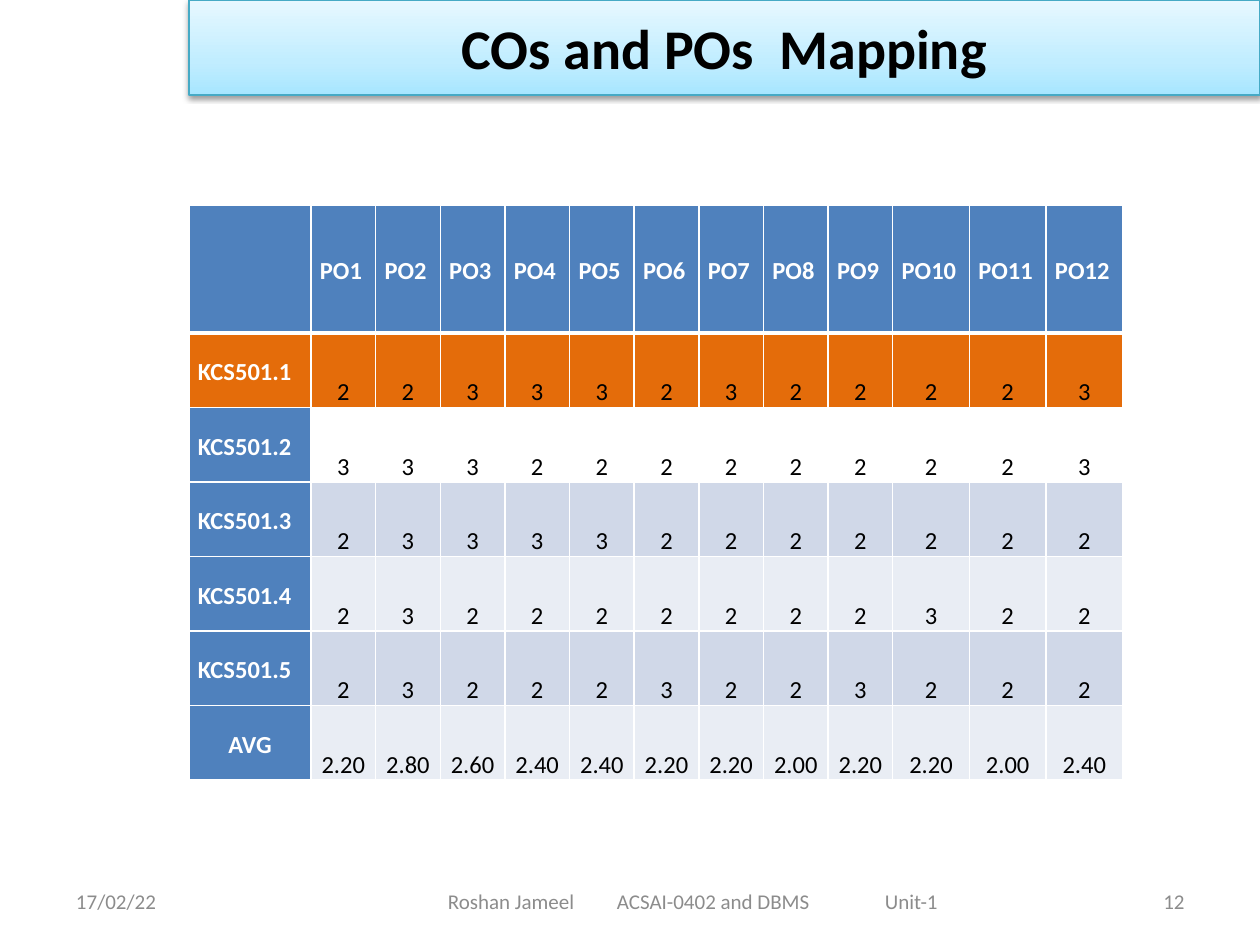
from dataclasses import dataclass

from lxml import etree
from pptx import Presentation
from pptx.dml.color import RGBColor
from pptx.enum.shapes import MSO_SHAPE
from pptx.enum.text import MSO_ANCHOR, PP_ALIGN
from pptx.oxml.ns import qn
from pptx.slide import Slide
from pptx.table import _Cell
from pptx.text.text import _Paragraph
from pptx.util import Pt

LEFT, CENTER, RIGHT, JUSTIFY = PP_ALIGN.LEFT, PP_ALIGN.CENTER, PP_ALIGN.RIGHT, PP_ALIGN.JUSTIFY
MIDDLE, BOTTOM = MSO_ANCHOR.MIDDLE, MSO_ANCHOR.BOTTOM
RECTANGLE = MSO_SHAPE.RECTANGLE

EMU_PER_PX = 914400 / 126
FONT = "Calibri"
WHITE, BLACK, GREY = "FFFFFF", "000000", "8C8C8C"
BLUE, ORANGE, DARK_BAND, LIGHT_BAND = "4F81BD", "E46C0A", "D0D8E8", "E9EDF4"
BANNER_LINE = "46AAC5"
BANNER_STOPS = [(0, "A7E6FF"), (35, "C1EDFF"), (100, "E7F8FF")]


@dataclass
class Outcome:
    label: str
    scores: list[int]
    label_fill: str = BLUE
    fill: str | None = None
    align: PP_ALIGN = LEFT


@dataclass
class FooterItem:
    phrases: list[str]
    left: int
    width: int
    align: PP_ALIGN
    inset: int = 13
    tabs: tuple[int, ...] = ()


OUTCOMES = [
    Outcome("KCS501.1", [2, 2, 3, 3, 3, 2, 3, 2, 2, 2, 2, 3], ORANGE, ORANGE, JUSTIFY),
    Outcome("KCS501.2", [3, 3, 3, 2, 2, 2, 2, 2, 2, 2, 2, 3]),
    Outcome("KCS501.3", [2, 3, 3, 3, 3, 2, 2, 2, 2, 2, 2, 2], fill=DARK_BAND),
    Outcome("KCS501.4", [2, 3, 2, 2, 2, 2, 2, 2, 2, 3, 2, 2], fill=LIGHT_BAND),
    Outcome("KCS501.5", [2, 3, 2, 2, 2, 3, 2, 2, 3, 2, 2, 2], fill=DARK_BAND),
]
FOOTER = [
    FooterItem(["17/02/22"], 63, 294, LEFT),
    FooterItem(["Roshan Jameel", "ACSAI-0402 and DBMS", "Unit-1"], 347, 693, LEFT, 101, (169, 437)),
    FooterItem(["12"], 903, 294, RIGHT),
]


def px(length: int) -> int:
    return round(length * EMU_PER_PX)


def rgb(color: str) -> RGBColor:
    return RGBColor.from_string(color)


def add_color(parent: etree._Element, color: str) -> etree._Element:
    return etree.SubElement(parent, qn("a:srgbClr"), val=color)


def write(paragraph: _Paragraph, text: str, size: int, color: str, align: PP_ALIGN,
          bold: bool = False) -> None:
    paragraph.text = text
    paragraph.alignment = align
    font = paragraph.font
    font.name, font.size, font.bold = FONT, Pt(size), bold
    font.color.rgb = rgb(color)


def set_borders(cell: _Cell, top: int, bottom: int) -> None:
    """Give the cell white borders; top and bottom widths are in points."""
    properties = cell._tc.get_or_add_tcPr()
    widths = {"a:lnL": 1, "a:lnR": 1, "a:lnT": top, "a:lnB": bottom}
    for index, (tag, width) in enumerate(widths.items()):
        line = etree.Element(qn(tag), w=str(Pt(width)))
        add_color(etree.SubElement(line, qn("a:solidFill")), WHITE)
        properties.insert(index, line)


def fill_cell(cell: _Cell, text: str, fill: str | None, align: PP_ALIGN,
              is_label: bool, top: int = 1, bottom: int = 1) -> None:
    if fill:
        cell.fill.solid()
        cell.fill.fore_color.rgb = rgb(fill)
    else:
        cell.fill.background()
    set_borders(cell, top, bottom)
    cell.margin_left = cell.margin_right = px(9)
    cell.margin_top = cell.margin_bottom = 0
    cell.vertical_anchor = MIDDLE if is_label else BOTTOM
    paragraph = cell.text_frame.paragraphs[0]
    write(paragraph, text, 14, WHITE if is_label else BLACK, align, is_label)
    paragraph.line_spacing = 1.15
    if not is_label:
        paragraph.space_after = Pt(10)


def add_mapping_table(slide: Slide, outcomes: list[Outcome]) -> None:
    column_widths = [px(122)] + [px(582) // 9] * 9 + [px(230) // 3] * 3
    row_heights = [px(128)] + [px(447) // 6] * 6
    table = slide.shapes.add_table(len(row_heights), len(column_widths), px(189), px(205),
                                   sum(column_widths), sum(row_heights)).table
    table.first_row = table.horz_banding = False
    for column, width in zip(table.columns, column_widths):
        column.width = width
    for row, height in zip(table.rows, row_heights):
        row.height = height

    headings = [""] + [f"PO{number}" for number in range(1, 13)]
    for column, heading in enumerate(headings):
        fill_cell(table.cell(0, column), heading, BLUE, JUSTIFY, True, bottom=3)

    for row, outcome in enumerate(outcomes, 1):
        top = 3 if row == 1 else 1
        fill_cell(table.cell(row, 0), outcome.label, outcome.label_fill, outcome.align, True, top)
        for column, score in enumerate(outcome.scores, 1):
            fill_cell(table.cell(row, column), str(score), outcome.fill, CENTER, False, top)

    average_row = len(outcomes) + 1
    fill_cell(table.cell(average_row, 0), "AVG", BLUE, CENTER, True)
    for column, scores in enumerate(zip(*(outcome.scores for outcome in outcomes)), 1):
        average = sum(scores) / len(scores)
        fill_cell(table.cell(average_row, column), f"{average:.2f}", LIGHT_BAND, CENTER, False)


def add_footer_item(slide: Slide, item: FooterItem) -> None:
    frame = slide.shapes.add_textbox(px(item.left), px(876), px(item.width), px(50)).text_frame
    frame.word_wrap = True
    frame.vertical_anchor = MIDDLE
    frame.margin_left = px(item.inset)
    paragraph = frame.paragraphs[0]
    write(paragraph, "\t".join(item.phrases), 12, GREY, item.align)
    if item.tabs:
        tab_list = etree.Element(qn("a:tabLst"))
        for position in item.tabs:
            etree.SubElement(tab_list, qn("a:tab"), pos=str(px(position)), algn="l")
        paragraph._p.get_or_add_pPr().insert(0, tab_list)


def add_banner(slide: Slide, title: str) -> None:
    banner = slide.shapes.add_shape(RECTANGLE, px(189), 0, px(1071), px(95))
    properties = banner._element.spPr
    gradient = etree.Element(qn("a:gradFill"), rotWithShape="1")
    stops = etree.SubElement(gradient, qn("a:gsLst"))
    for percent, color in BANNER_STOPS:
        add_color(etree.SubElement(stops, qn("a:gs"), pos=str(percent * 1000)), color)
    etree.SubElement(gradient, qn("a:lin"), ang=str(270 * 60000), scaled="0")
    properties.find(qn("a:prstGeom")).addnext(gradient)
    banner.line.color.rgb = rgb(BANNER_LINE)
    banner.line.width = Pt(0.75)

    banner.shadow.inherit = False
    shadow = etree.SubElement(properties.find(qn("a:effectLst")), qn("a:outerShdw"),
                              blurRad="40000", dist="20000", dir=str(90 * 60000), rotWithShape="0")
    etree.SubElement(add_color(shadow, BLACK), qn("a:alpha"), val="38000")

    banner.text_frame.word_wrap = True
    banner.text_frame.vertical_anchor = MIDDLE
    write(banner.text_frame.paragraphs[0], title, 32, BLACK, CENTER, True)


def main() -> None:
    presentation = Presentation()
    presentation.slide_width, presentation.slide_height = px(1260), px(945)
    slide = presentation.slides.add_slide(presentation.slide_layouts[6])
    add_mapping_table(slide, OUTCOMES)
    for item in FOOTER:
        add_footer_item(slide, item)
    add_banner(slide, "COs and POs  Mapping")
    presentation.save("out.pptx")


if __name__ == "__main__":
    main()
